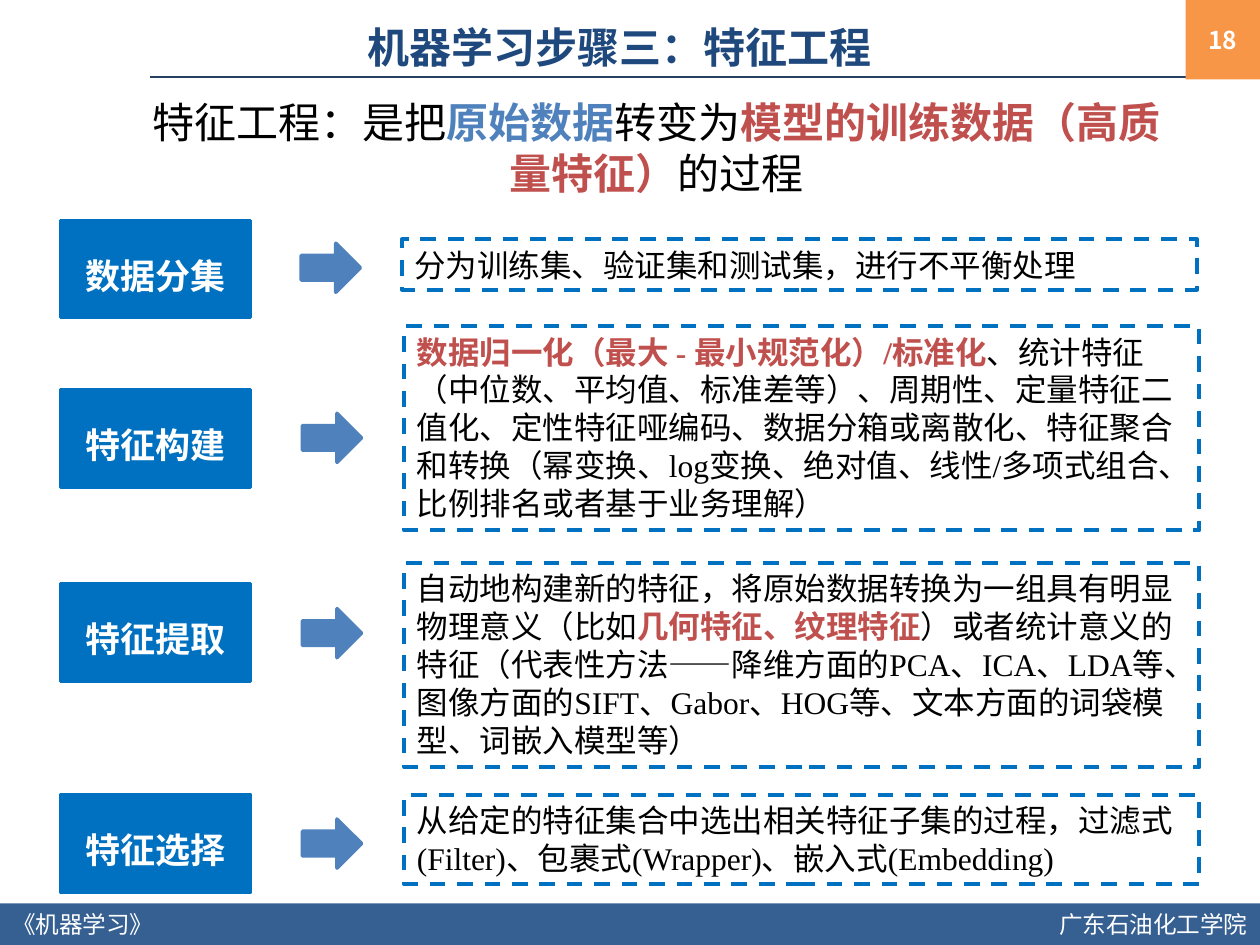
from typing import NamedTuple

from lxml.etree import SubElement
from pptx import Presentation
from pptx.dml.color import RGBColor
from pptx.enum.dml import MSO_LINE
from pptx.enum.shapes import MSO_CONNECTOR, MSO_SHAPE as Geo
from pptx.enum.text import MSO_ANCHOR as Anchor, MSO_AUTO_SIZE as Fit, PP_ALIGN as Align
from pptx.oxml.ns import qn
from pptx.util import Pt

PX = 9144  # EMU in one px, at 100 px to the inch

WHITE = RGBColor(0xFF, 0xFF, 0xFF)
BLACK = RGBColor(0x00, 0x00, 0x00)
NAVY = RGBColor(0x1F, 0x49, 0x7D)
RULE = RGBColor(0x25, 0x40, 0x61)
BAR = RGBColor(0x37, 0x60, 0x92)
ORANGE = RGBColor(0xF7, 0x96, 0x46)
BLUE = RGBColor(0x00, 0x70, 0xC0)
STEEL = RGBColor(0x4F, 0x81, 0xBD)
RED = RGBColor(0xC0, 0x50, 0x4D)

SANS, SERIF, ARIAL = "Noto Sans CJK SC", "Times New Roman", "Arial"


class Box(NamedTuple):
    left: int
    top: int
    width: int
    height: int


class Run(NamedTuple):
    text: str
    color: RGBColor = BLACK
    bold: bool = False


class Style(NamedTuple):
    font: str
    size: float
    align: Align = Align.LEFT
    anchor: Anchor = Anchor.TOP
    sides: int = 10
    ends: int = 5
    space: float = 1.0
    grow: bool = False


class Step(NamedTuple):
    name: str
    top: int
    height: int
    arrow: Box
    note: Box
    runs: list[Run]


FOOT = Style(SANS, 13.5)
HEAD = Style(SANS, 24, Align.CENTER, Anchor.MIDDLE)
PAGE = Style(SANS, 14, Align.CENTER, Anchor.MIDDLE, sides=0)
LEAD = Style(ARIAL, 24, Align.CENTER, grow=True)
NAME = Style(SANS, 20, Align.CENTER, Anchor.MIDDLE, sides=7, ends=4, space=1.3)
NOTE = Style(SERIF, 18, grow=True)

STEPS = [
    Step("数据分集", 175, 77, Box(239, 193, 47, 39), Box(319, 190, 631, 40), [
        Run("分为训练集、验证集和测试集，进行不平衡处理"),
    ]),
    Step("特征构建", 309, 78, Box(240, 328, 47, 39), Box(321, 259, 631, 162), [
        Run("数据归一化（最大 - 最小规范化）/标准化", RED, True),
        Run("、统计特征（中位数、平均值、标准差等）、周期性、定量特征二值化、"
            "定性特征哑编码、数据分箱或离散化、特征聚合和转换（幂变换、log变换、"
            "绝对值、线性/多项式组合、比例排名或者基于业务理解）"),
    ]),
    Step("特征提取", 463, 78, Box(240, 483, 47, 39), Box(321, 447, 631, 162), [
        Run("自动地构建新的特征，将原始数据转换为一组具有明显物理意义（比如"),
        Run("几何特征、纹理特征", RED, True),
        Run("）或者统计意义的特征（代表性方法——降维方面的PCA、ICA、LDA等、"
            "图像方面的SIFT、Gabor、HOG等、文本方面的词袋模型、词嵌入模型等）"),
    ]),
    Step("特征选择", 631, 77, Box(240, 650, 47, 39), Box(321, 631, 631, 71), [
        Run("从给定的特征集合中选出相关特征子集的过程，过滤式(Filter)、"
            "包裹式(Wrapper)、嵌入式(Embedding)"),
    ]),
]


def assign(obj, values: dict) -> None:
    for key, value in values.items():
        setattr(obj, key, value)


def emu(box: Box) -> list[int]:
    return [side * PX for side in box]


def write(shape, runs: list[Run], style: Style) -> None:
    frame = shape.text_frame
    assign(frame, {
        "word_wrap": True,
        "auto_size": Fit.SHAPE_TO_FIT_TEXT if style.grow else Fit.NONE,
        "vertical_anchor": style.anchor,
        "margin_left": style.sides * PX,
        "margin_right": style.sides * PX,
        "margin_top": style.ends * PX,
        "margin_bottom": style.ends * PX,
    })
    para = frame.paragraphs[0]
    assign(para, {"alignment": style.align, "line_spacing": style.space})
    for item in runs:
        run = para.add_run()
        run.text = item.text
        assign(run.font, {"name": style.font, "size": Pt(style.size), "bold": item.bold})
        run.font.color.rgb = item.color
        # East Asian glyphs have a font slot of their own
        SubElement(run.font._element, qn("a:ea")).set("typeface", SANS)


def label(slide, box: Box, runs: list[Run], style: Style) -> None:
    write(slide.shapes.add_textbox(*emu(box)), runs, style)


def block(slide, geo: Geo, box: Box, fill: RGBColor, edge: float = 0):
    """Add a filled shape, with an edge of the same colour if it has a width."""
    shape = slide.shapes.add_shape(geo, *emu(box))
    shape.shadow.inherit = False
    shape.fill.solid()
    shape.fill.fore_color.rgb = fill
    if edge:
        shape.line.color.rgb = fill
        shape.line.width = Pt(edge)
    else:
        shape.line.fill.background()
    return shape


def dashed(slide, box: Box):
    shape = slide.shapes.add_shape(Geo.RECTANGLE, *emu(box))
    shape.shadow.inherit = False
    shape.fill.background()
    shape.line.color.rgb = BLUE
    assign(shape.line, {"width": Pt(2.25), "dash_style": MSO_LINE.DASH})
    return shape


def frame(slide) -> None:
    """Draw the footer, the rule under the title and the page number."""
    bar = block(slide, Geo.RECTANGLE, Box(0, 717, 1000, 33), BAR)
    write(bar, [Run("广东石油化工学院", WHITE)], FOOT._replace(align=Align.RIGHT))
    label(slide, Box(0, 717, 416, 33), [Run("《机器学习》", WHITE)], FOOT)
    rule = slide.shapes.add_connector(
        MSO_CONNECTOR.STRAIGHT, 119 * PX, 61 * PX, 941 * PX, 61 * PX)
    rule.line.color.rgb = RULE
    rule.line.width = Pt(1.5)
    SubElement(rule._element.spPr, qn("a:effectLst"))
    page = block(slide, Geo.RECTANGLE, Box(941, 0, 59, 63), ORANGE)
    write(page, [Run("18", WHITE, True)], PAGE)


def draw(slide, step: Step) -> None:
    box = Box(48, step.top, 151, step.height)
    name = block(slide, Geo.RECTANGLE, box, BLUE, 2)
    write(name, [Run(step.name, WHITE, True)], NAME)
    block(slide, Geo.RIGHT_ARROW, step.arrow, STEEL, 2)
    write(dashed(slide, step.note), step.runs, NOTE)


def main() -> None:
    deck = Presentation()
    assign(deck, {"slide_width": 1000 * PX, "slide_height": 750 * PX})
    slide = deck.slides.add_slide(deck.slide_layouts[6])
    frame(slide)
    label(slide, Box(42, 8, 900, 58), [Run("机器学习步骤三：特征工程", NAVY, True)], HEAD)
    label(slide, Box(105, 72, 832, 91), [
        Run("特征工程：是把"),
        Run("原始数据", STEEL, True),
        Run("转变为"),
        Run("模型的训练数据（高质量特征）", RED, True),
        Run("的过程"),
    ], LEAD)
    for step in STEPS:
        draw(slide, step)
    deck.save("out.pptx")


if __name__ == "__main__":
    main()
